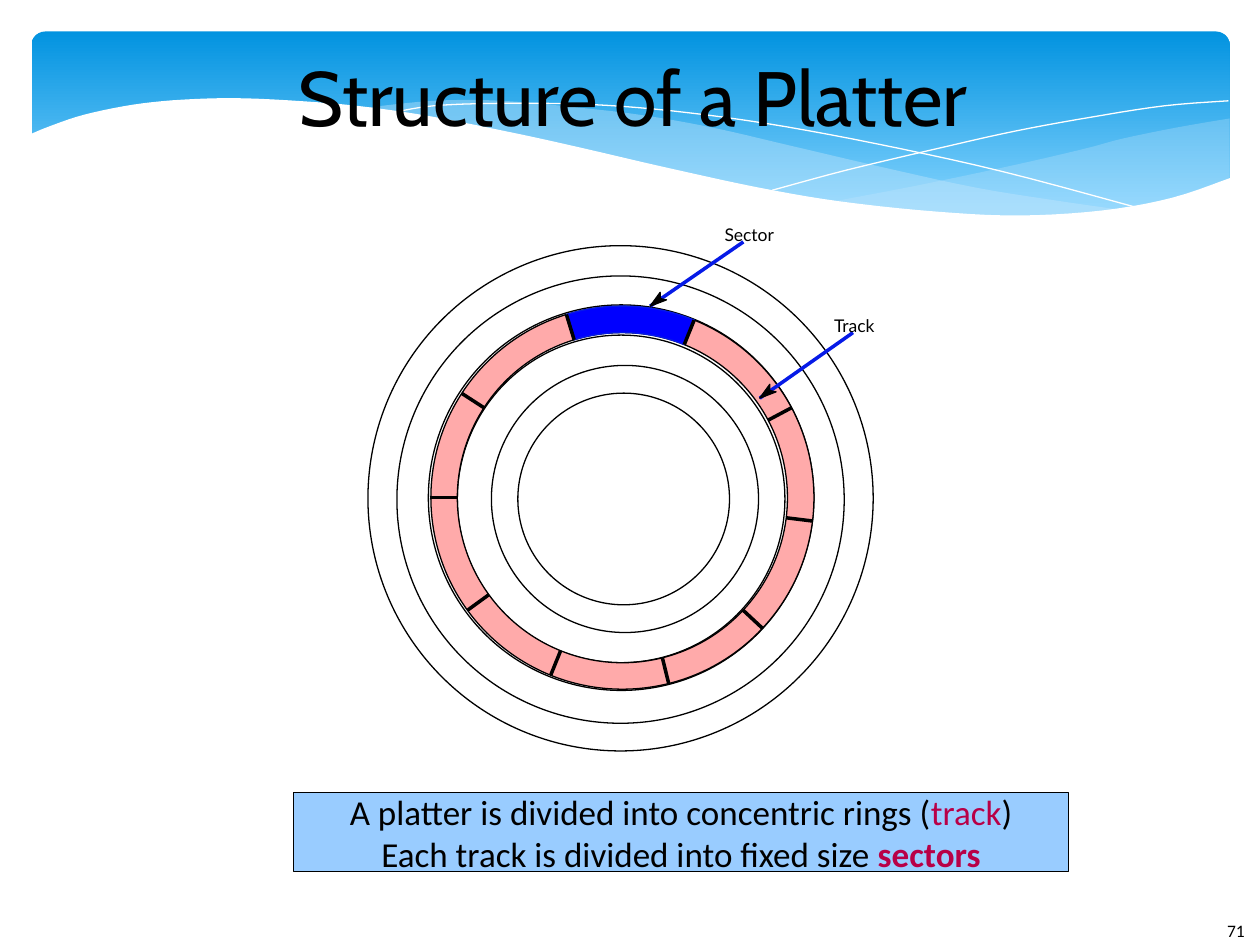
from dataclasses import dataclass
from math import cos, radians, sin

from lxml import etree
from pptx import Presentation
from pptx.dml.color import RGBColor
from pptx.enum import shapes, text
from pptx.oxml.ns import qn
from pptx.util import Inches, Pt


@dataclass(frozen=True)
class Theme:
    black: str = "000000"
    white: str = "FFFFFF"
    banner_top: str = "0293E0"
    banner_bottom: str = "83D3FE"
    wave: str = "C6E7FC"
    caption: str = "99CCFF"
    accent: str = "B80047"
    track: str = "FFAAAA"
    sector: str = "0000FF"
    pointer: str = "061AE7"
    title_size: int = 44
    caption_size: int = 20
    label_size: int = 10
    title_font: str = "Cabin"
    body_font: str = "Calibri"
    label_font: str = "Lato"


theme = Theme()
presentation = Presentation()
presentation.slide_width, presentation.slide_height = Inches(10), Inches(7.5)
slide = presentation.slides.add_slide(presentation.slide_layouts[6])


def style(shape, fill=None, line=None, opacity=100):
    """Set fill, hairline and opacity, and drop the shadow."""
    shape.shadow.inherit = False
    if fill:
        shape.fill.solid()
        shape.fill.fore_color.rgb = RGBColor.from_string(fill)
        if opacity < 100:
            color = shape.element.spPr.find(qn("a:solidFill"))[0]
            etree.SubElement(color, qn("a:alpha"), val=str(opacity * 1000))
    else:
        shape.fill.background()
    if line:
        shape.line.color.rgb = RGBColor.from_string(line)
        shape.line.width = Inches(0)
    else:
        shape.line.fill.background()


def draw_curves(edges, closed=True, steps=5):
    """Join edges into one outline, each smoothed through its points."""
    points = []
    for edge in edges:
        padded = [edge[0], *edge, edge[-1]]
        for a, b, c, d in zip(padded, padded[1:], padded[2:], padded[3:]):
            for t in (step / steps for step in range(steps)):
                points.append([
                    Inches(q + t * (r - p) / 2 + t**2 * (2 * p - 5 * q + 4 * r - s) / 2
                           + t**3 * (3 * q - p - 3 * r + s) / 2)
                    for p, q, r, s in zip(a, b, c, d)])
        points.append([Inches(value) for value in edge[-1]])
    builder = slide.shapes.build_freeform(*points[0], scale=1.0)
    builder.add_line_segments(points[1:], close=closed)
    return builder.convert_to_shape()


# Banner
banner = slide.shapes.add_shape(
    shapes.MSO_SHAPE.ROUNDED_RECTANGLE, Inches(0.25), Inches(0.25), Inches(9.51), Inches(1.56))
banner.adjustments[0] = 0.07
style(banner)
banner.fill.gradient()
banner.fill.gradient_angle = 270
for stop, color, position in zip(
        banner.fill.gradient_stops, (theme.banner_top, theme.banner_bottom), (0, 0.9)):
    stop.color.rgb = RGBColor.from_string(color)
    stop.position = position

# Waves over the banner: edges, closed, fill, line, opacity
waves = [
    ([[(9.76, 0.94), (9.35, 1.01), (8.91, 1.1), (8.61, 1.18), (8.05, 1.31), (7.29, 1.47),
       (6.61, 1.6)],
      [(6.61, 1.6), (7.05, 1.65), (7.57, 1.7), (8.14, 1.72), (8.63, 1.7), (9.05, 1.63),
       (9.42, 1.54), (9.76, 1.41)]], True, theme.wave, None, 29),
    ([[(8.93, 1.67), (8.37, 1.59), (7.75, 1.49), (7.06, 1.34), (6.29, 1.16), (5.69, 1.02),
       (5.14, 0.92), (4.65, 0.86), (3.99, 0.8), (3.44, 0.8), (2.86, 0.86)],
      [(2.86, 0.86), (3.42, 0.94), (4.04, 1.06), (4.49, 1.16), (5.3, 1.35), (6.01, 1.5),
       (6.65, 1.61), (7.36, 1.69), (7.96, 1.73), (8.48, 1.72), (8.93, 1.67)]],
     True, theme.wave, None, 40),
    ([[(3.09, 0.9), (3.44, 0.84), (4.01, 0.82), (4.69, 0.83), (5.33, 0.88), (6.08, 0.98),
       (6.95, 1.14), (7.95, 1.36), (9.07, 1.66)]], False, None, theme.white, 100),
    ([[(6.13, 1.51), (6.72, 1.35), (7.48, 1.17), (8.06, 1.04), (8.66, 0.93), (9.24, 0.84),
       (9.75, 0.8)]], False, None, theme.white, 100),
    ([[(9.77, 1.41), (9.3, 1.57), (8.75, 1.67), (8.09, 1.71), (7.44, 1.68), (6.68, 1.6),
       (6.03, 1.49), (5.29, 1.33), (4.47, 1.14), (3.91, 1.02), (3.4, 0.92), (2.92, 0.85),
       (2.5, 0.81), (1.93, 0.78), (1.46, 0.79), (1.06, 0.83), (0.67, 0.91), (0.4, 1),
       (0.23, 1.07)],
      [(0.23, 2.24), (9.77, 2.24)]], True, theme.white, None, 100),
]
for edges, closed, fill, line, opacity in waves:
    style(draw_curves(edges, closed), fill, line, opacity)

# Caption box
caption = slide.shapes.add_shape(
    shapes.MSO_SHAPE.RECTANGLE, Inches(2.33), Inches(6.29), Inches(6.15), Inches(0.63))
style(caption, theme.caption, theme.black)
caption.text_frame.word_wrap = False
caption.text_frame.vertical_anchor = text.MSO_ANCHOR.MIDDLE
caption_lines = [
    [("A platter is divided into concentric rings (", theme.black, False),
     ("track", theme.accent, False), (")", theme.black, False)],
    [("Each track is divided into fixed size ", theme.black, False),
     ("sectors", theme.accent, True)],
]
caption.text_frame.text = "\n".join("" for _ in caption_lines)
for paragraph, parts in zip(caption.text_frame.paragraphs, caption_lines):
    paragraph.alignment = text.PP_ALIGN.CENTER
    for words, color, bold in parts:
        run = paragraph.add_run()
        run.text = words
        run.font.name, run.font.size, run.font.bold = theme.body_font, Pt(theme.caption_size), bold
        run.font.color.rgb = RGBColor.from_string(color)

# Concentric rings of the platter: left, top, diameter
for left, top, diameter in [(4.11, 3.12, 1.68), (3.9, 2.9, 2.12), (3.63, 2.66, 2.6),
                            (3.4, 2.42, 3.06), (3.15, 2.19, 3.55), (2.92, 1.95, 4.01)]:
    ring = slide.shapes.add_shape(
        shapes.MSO_SHAPE.OVAL, Inches(left), Inches(top), Inches(diameter), Inches(diameter))
    style(ring, line=theme.black)

# Track, with one sector filled in
center_x, center_y, inner, outer = 4.94, 3.95, 1.31, 1.52
track = slide.shapes.add_shape(
    shapes.MSO_SHAPE.DONUT, Inches(center_x - outer), Inches(center_y - outer),
    Inches(2 * outer), Inches(2 * outer))
track.adjustments[0] = (outer - inner) / (2 * outer)
style(track, theme.track, theme.black)

sector_start, sector_end = 253, 292
arcs = [[(center_x + radius * cos(radians(angle)), center_y + radius * sin(radians(angle)))
         for angle in angles]
        for radius, angles in ((outer, range(sector_start, sector_end + 1, 3)),
                               (inner, range(sector_end, sector_start - 1, -3)))]
style(draw_curves(arcs), theme.sector, theme.pointer)

# Sector dividers, then the pointers from the labels
lines = []
for angle in (7, 43, 76, 112, 144, 180, 213, sector_start, sector_end, 332):
    across, down = cos(radians(angle)), sin(radians(angle))
    lines.append((center_x + inner * across, center_y + inner * down,
                  center_x + outer * across, center_y + outer * down, theme.black))
pointers = [(6.77, 2.64, 6.03, 3.16), (5.9, 1.92, 5.16, 2.43)]
lines += [(*pointer, theme.pointer) for pointer in pointers]
for *ends, color in lines:
    connector = slide.shapes.add_connector(
        shapes.MSO_CONNECTOR.STRAIGHT, *[Inches(value) for value in ends])
    connector.line.color.rgb = RGBColor.from_string(color)
    connector.line.width = Inches(0)
    etree.SubElement(connector.element.spPr, qn("a:effectLst"))

for _, _, tip_x, tip_y in pointers:
    outline = [(tip_x + across, tip_y + down)
               for across, down in ((0.08, -0.06), (0.08, -0.11), (0, 0), (0.13, -0.05))]
    style(draw_curves([outline], steps=1), theme.black, theme.black)

# Title, labels and page number: words, box, font, size, alignment, margins
left_align, center_align = text.PP_ALIGN.LEFT, text.PP_ALIGN.CENTER
for words, box, font, size, alignment, margins in [
    ("Structure of a Platter", (0.97, 0.25, 8.11, 1.02), theme.title_font, theme.title_size,
     center_align, (0, 0)),
    ("Track", (6.62, 2.5, 0.45, 0.21), theme.label_font, theme.label_size, left_align, (0, 0)),
    ("Sector", (5.75, 1.78, 0.51, 0.21), theme.label_font, theme.label_size, left_align, (0, 0)),
    ("71", (9.64, 7.25, 0.61, 0.4), theme.body_font, theme.label_size, left_align, (0.1, 0.05)),
]:
    frame = slide.shapes.add_textbox(*[Inches(value) for value in box]).text_frame
    frame.margin_left = frame.margin_right = Inches(margins[0])
    frame.margin_top = frame.margin_bottom = Inches(margins[1])
    frame.word_wrap = alignment == center_align
    frame.vertical_anchor = (
        text.MSO_ANCHOR.MIDDLE if alignment == center_align else text.MSO_ANCHOR.TOP)
    frame.text = words
    paragraph = frame.paragraphs[0]
    paragraph.alignment = alignment
    paragraph.runs[0].font.name, paragraph.runs[0].font.size = font, Pt(size)
    paragraph.runs[0].font.color.rgb = RGBColor.from_string(theme.black)

presentation.save("out.pptx")
